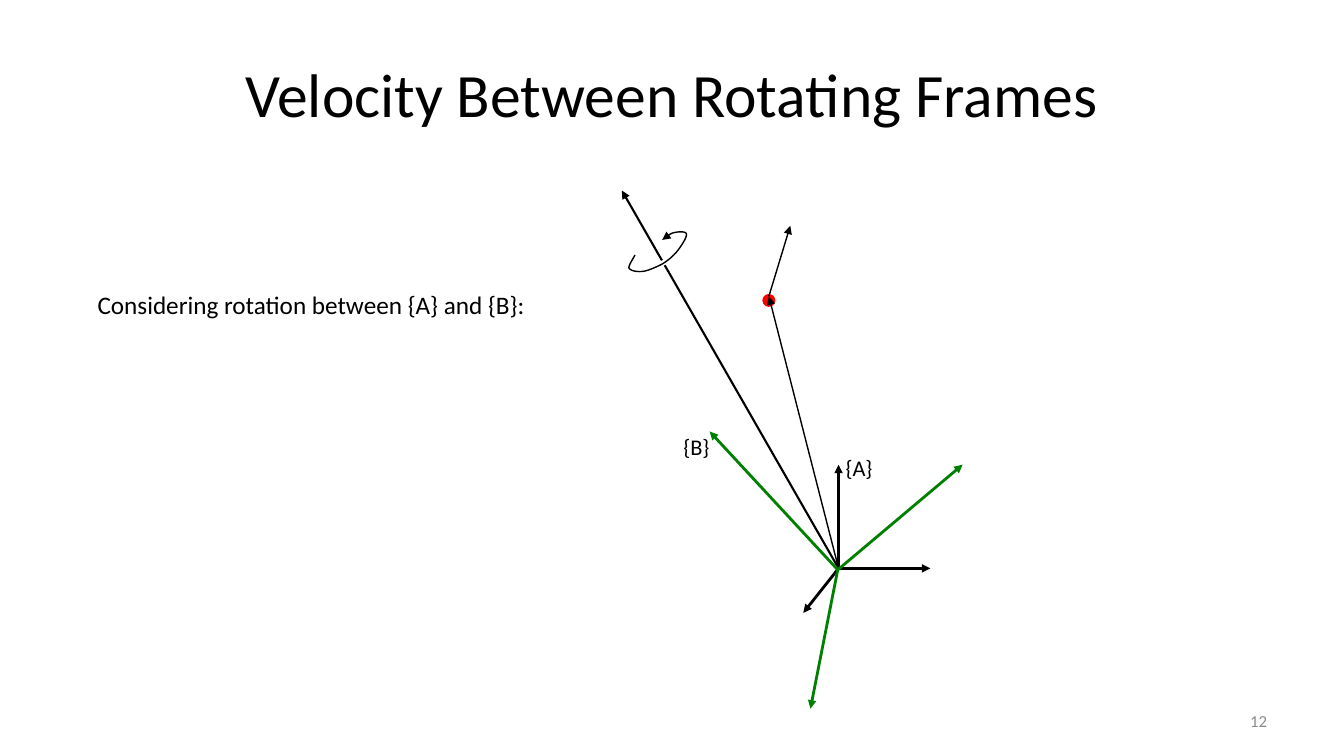
from lxml import etree
from pptx import Presentation
from pptx.dml.color import RGBColor
from pptx.enum.shapes import MSO_CONNECTOR, MSO_SHAPE
from pptx.enum.text import MSO_ANCHOR, MSO_AUTO_SIZE, PP_ALIGN
from pptx.oxml.ns import qn
from pptx.util import Pt

STRAIGHT = MSO_CONNECTOR.STRAIGHT
OVAL = MSO_SHAPE.OVAL
TOP, MIDDLE = MSO_ANCHOR.TOP, MSO_ANCHOR.MIDDLE
LEFT, CENTER, RIGHT = PP_ALIGN.LEFT, PP_ALIGN.CENTER, PP_ALIGN.RIGHT
NO_AUTOFIT = MSO_AUTO_SIZE.NONE
TITLE_ONLY = 5
CURVE_STEPS = 12

COLORS = {"black": "000000", "white": "FFFFFF", "red": "FF0000",
          "green": "008000", "gray": "8C8C8C"}

ORIGIN_A = (599, 406)
ORIGIN_B = (598.4, 407)
PARTICLE = (549.2, 211.7)
AXES_A = [(599, 332), (664.6, 406), (573.8, 437.8)]
AXES_B = [(506.9, 308.2), (687.6, 331.9), (578.9, 506.2)]
ROTATION_START = (453.6, 182.2)
ROTATION_CURVES = [
    [(452.9, 183.6), (448.6, 190.1), (449.3, 191.5)],
    [(450.7, 193.7), (455.8, 194.4), (460.1, 193.7)],
    [(463.7, 193), (468.7, 190.8), (473, 188.6)],
    [(476.6, 186.5), (481, 182.9), (483.8, 179.3)],
    [(486.7, 175.7), (491, 169.2), (490.3, 167)],
    [(489.6, 164.9), (483.8, 165.6), (481, 166.3)],
    [(478.1, 167), (474.5, 170.6), (473, 171.4)],
]


def color(name):
    return RGBColor.from_string(COLORS[name])


def format_line(shape, line_color, width, arrow):
    shape.line.color.rgb = color(line_color)
    shape.line.width = Pt(width)
    if arrow:
        line = shape.line._get_or_add_ln()
        etree.SubElement(line, qn("a:tailEnd"), type="triangle")


def add_line(slide, start, end, line_color="black", width=1, arrow=True):
    connector = slide.shapes.add_connector(
        STRAIGHT, *(Pt(value) for value in (*start, *end)))
    format_line(connector, line_color, width, arrow)
    etree.SubElement(connector._element.spPr, qn("a:effectLst"))


def bezier_points(start, first, second, end):
    for step in range(1, CURVE_STEPS + 1):
        t = step / CURVE_STEPS
        u = 1 - t
        yield tuple(
            Pt(u**3 * a + 3 * u**2 * t * b + 3 * u * t**2 * c + t**3 * d)
            for a, b, c, d in zip(start, first, second, end))


def add_rotation_arrow(slide):
    points = []
    start = ROTATION_START
    for curve in ROTATION_CURVES:
        points.extend(bezier_points(start, *curve))
        start = curve[-1]
    builder = slide.shapes.build_freeform(*(Pt(value) for value in ROTATION_START))
    builder.add_line_segments(points, close=False)
    shape = builder.convert_to_shape()
    shape.shadow.inherit = False
    shape.fill.background()
    format_line(shape, "black", 1, True)


def add_particle(slide, center, diameter=7.2):
    left, top = center[0] - diameter / 2, center[1] + 2.9 - diameter / 2
    shape = slide.shapes.add_shape(
        OVAL, Pt(left), Pt(top), Pt(diameter), Pt(diameter))
    shape.shadow.inherit = False
    shape.fill.solid()
    shape.fill.fore_color.rgb = color("red")
    format_line(shape, "red", 2, False)


def write_text(shape, text, size, box, font_color="black", align=LEFT,
               anchor=TOP, wrap=False):
    shape.left, shape.top, shape.width, shape.height = (Pt(value) for value in box)
    frame = shape.text_frame
    frame.text = text
    frame.word_wrap = wrap
    frame.auto_size = NO_AUTOFIT
    frame.vertical_anchor = anchor
    paragraph = frame.paragraphs[0]
    paragraph.alignment = align
    paragraph.font.name = "Calibri"
    paragraph.font.size = Pt(size)
    paragraph.font.color.rgb = color(font_color)


def add_label(slide, text, size, box, **text_format):
    shape = slide.shapes.add_textbox(0, 0, 0, 0)
    write_text(shape, text, size, box, **text_format)


def main():
    presentation = Presentation()
    presentation.slide_width, presentation.slide_height = Pt(960), Pt(540)
    slide = presentation.slides.add_slide(presentation.slide_layouts[TITLE_ONLY])
    write_text(slide.shapes.title, "Velocity Between Rotating Frames", 44,
               (48, 21.6, 864, 90), align=CENTER, anchor=MIDDLE, wrap=True)

    add_particle(slide, PARTICLE)
    add_label(slide, "12", 12, (688.3, 500.4, 224, 28.8), font_color="gray",
              align=RIGHT, anchor=MIDDLE, wrap=True)
    add_line(slide, ORIGIN_A, (444.2, 136.1), width=1.5)
    add_line(slide, ORIGIN_A, PARTICLE)
    add_line(slide, (470.2, 189.4), (476.6, 186.5), "white", 3.75, arrow=False)
    for tip in AXES_A:
        add_line(slide, ORIGIN_A, tip, width=2)
    add_rotation_arrow(slide)
    add_label(slide, "{A}", 16, (596.9, 321.1, 33.8, 26.6))
    for tip in AXES_B:
        add_line(slide, ORIGIN_B, tip, "green", 2)
    add_label(slide, "{B}", 16, (481, 306, 33.1, 26.6))
    add_line(slide, PARTICLE, (564.5, 161.3))
    add_label(slide, "Considering rotation between {A} and {B}:", 18,
              (62.6, 203, 333.4, 28.8))
    presentation.save("out.pptx")


if __name__ == "__main__":
    main()
